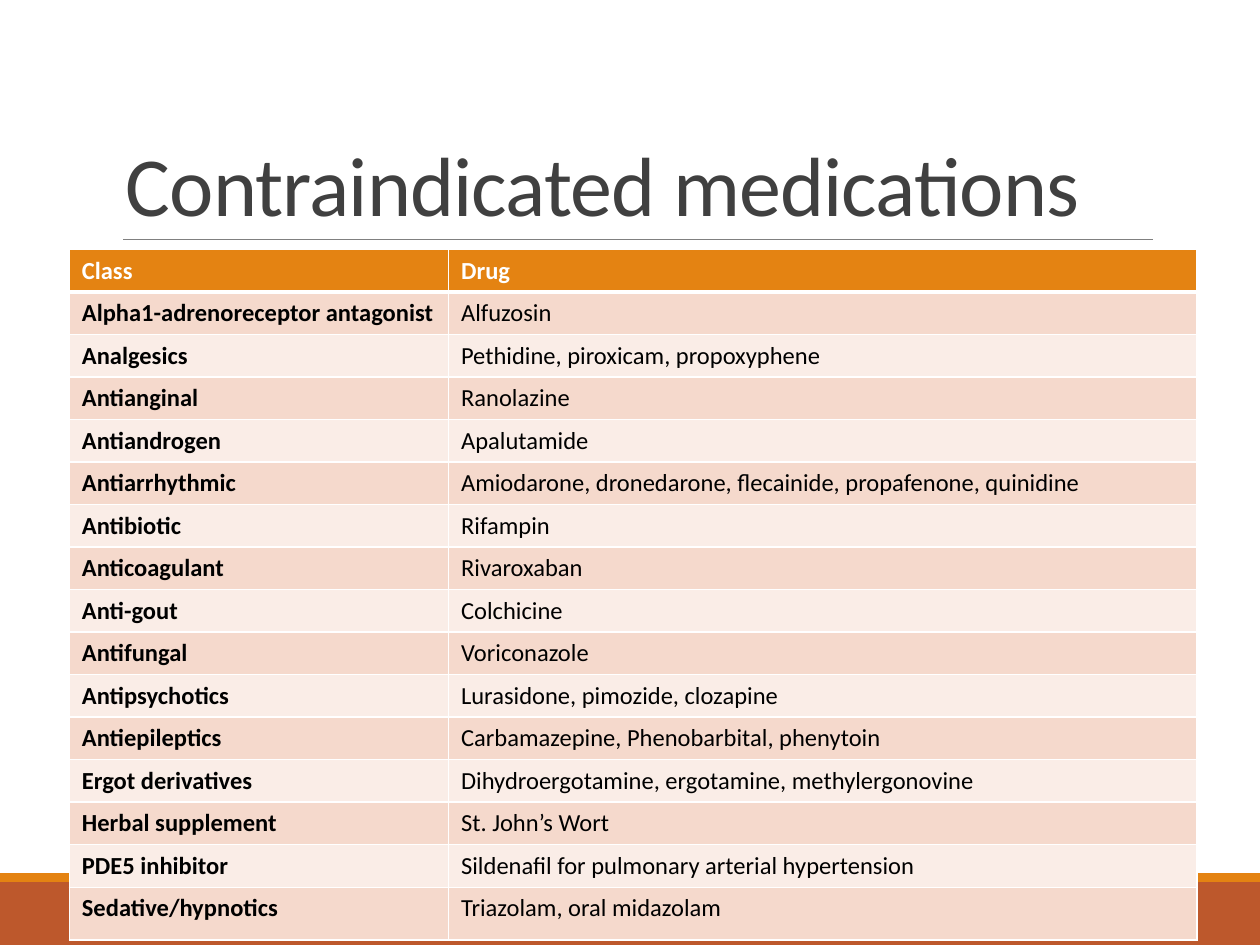
from dataclasses import dataclass

from lxml import etree
from pptx import Presentation
from pptx.dml.color import RGBColor
from pptx.enum.shapes import MSO_CONNECTOR, MSO_SHAPE
from pptx.enum.text import MSO_ANCHOR
from pptx.oxml.ns import qn
from pptx.util import Pt

LINE = MSO_CONNECTOR.STRAIGHT
RECT = MSO_SHAPE.RECTANGLE
BOTTOM = MSO_ANCHOR.BOTTOM


@dataclass(frozen=True)
class Theme:
    """Hold the colours, font and type sizes."""
    font: str = "Calibri"
    title: float = 48
    cell: float = 14
    ink: str = "404040"
    black: str = "000000"
    white: str = "FFFFFF"
    rule: str = "808080"
    rust: str = "BD582C"
    orange: str = "E48312"
    bands: tuple = ("F5D9CC", "FAEDE7")


THEME = Theme()
HEAD = ("Class", "Drug")
DRUGS = (
    ("Alpha1-adrenoreceptor antagonist", "Alfuzosin"),
    ("Analgesics", "Pethidine, piroxicam, propoxyphene"),
    ("Antianginal", "Ranolazine"),
    ("Antiandrogen", "Apalutamide"),
    ("Antiarrhythmic",
     "Amiodarone, dronedarone, flecainide, propafenone, quinidine"),
    ("Antibiotic", "Rifampin"),
    ("Anticoagulant", "Rivaroxaban"),
    ("Anti-gout", "Colchicine"),
    ("Antifungal", "Voriconazole"),
    ("Antipsychotics", "Lurasidone, pimozide, clozapine"),
    ("Antiepileptics", "Carbamazepine, Phenobarbital, phenytoin"),
    ("Ergot derivatives", "Dihydroergotamine, ergotamine, methylergonovine"),
    ("Herbal supplement", "St. John’s Wort"),
    ("PDE5 inhibitor", "Sildenafil for pulmonary arterial hypertension"),
    ("Sedative/hypnotics", "Triazolam, oral midazolam"),
)


def paint(fill, color):
    """Set a solid fill."""
    fill.solid()
    fill.fore_color.rgb = RGBColor.from_string(color)


def write(frame, text, *, size, color, bold=False, lead=None, track=None):
    """Put one formatted paragraph in a text frame."""
    frame.word_wrap = True
    para = frame.paragraphs[0]
    if lead:
        para.line_spacing = lead
    run = para.add_run()
    run.text = text
    font = run.font
    font.name, font.size, font.bold = THEME.font, Pt(size), bold
    font.color.rgb = RGBColor.from_string(color)
    if track:
        run._r.get_or_add_rPr().set("spc", str(int(track * 100)))


def band(slide, top, height, color):
    """Draw a full-width footer band."""
    shape = slide.shapes.add_shape(RECT, 0, Pt(top), Pt(720), Pt(height))
    shape.shadow.inherit = False
    paint(shape.fill, color)
    shape.line.fill.background()


def rule(slide, left, right, top):
    """Draw the thin line below the title."""
    line = slide.shapes.add_connector(LINE, Pt(left), Pt(top), Pt(right), Pt(top))
    line.line.width = Pt(0.5)
    line.line.color.rgb = RGBColor.from_string(THEME.rule)
    etree.SubElement(line._element.spPr, qn("a:effectLst"))


def title(slide, text):
    """Write the slide title."""
    box = slide.shapes.add_textbox(Pt(64.8), Pt(22.3), Pt(594), Pt(114.5))
    box.text_frame.vertical_anchor = BOTTOM
    write(box.text_frame, text, size=THEME.title, color=THEME.ink,
          lead=0.85, track=-0.5)


def edge(cell, **widths):
    """Add white borders of the given widths to a cell."""
    props = cell._tc.get_or_add_tcPr()
    for side, width in widths.items():
        line = etree.SubElement(props, qn("a:ln" + side), w=str(Pt(width)))
        fill = etree.SubElement(line, qn("a:solidFill"))
        etree.SubElement(fill, qn("a:srgbClr"), val=THEME.white)


def grid(slide, rows):
    """Build the drug table with a header and banded rows."""
    high, last = 24.3, 30.2
    total = high * (len(rows) - 1) + last
    table = slide.shapes.add_table(len(rows), 2, Pt(39.6), Pt(142.6),
                                   Pt(644.4), Pt(total)).table
    for col, width in zip(table.columns, (216.7, 427.7)):
        col.width = Pt(width)
    for r, row in enumerate(rows):
        table.rows[r].height = Pt(last if r == len(rows) - 1 else high)
        head = r == 0
        for c, text in enumerate(row):
            cell = table.cell(r, c)
            edge(cell, L=1, R=1, T=3 if r == 1 else 1, B=3 if head else 1)
            paint(cell.fill, THEME.orange if head else THEME.bands[(r - 1) % 2])
            write(cell.text_frame, text, size=THEME.cell,
                  color=THEME.white if head else THEME.black,
                  bold=head or c == 0)


def main():
    """Build and save the slide."""
    deck = Presentation()
    deck.slide_width, deck.slide_height = Pt(720), Pt(540)
    slide = deck.slides.add_slide(deck.slide_layouts[6])
    band(slide, 504, 36, THEME.rust)
    band(slide, 499, 5, THEME.orange)
    rule(slide, 70.5, 658.8, 136.8)
    title(slide, "Contraindicated medications")
    grid(slide, (HEAD, *DRUGS))
    deck.save("out.pptx")


if __name__ == "__main__":
    main()
